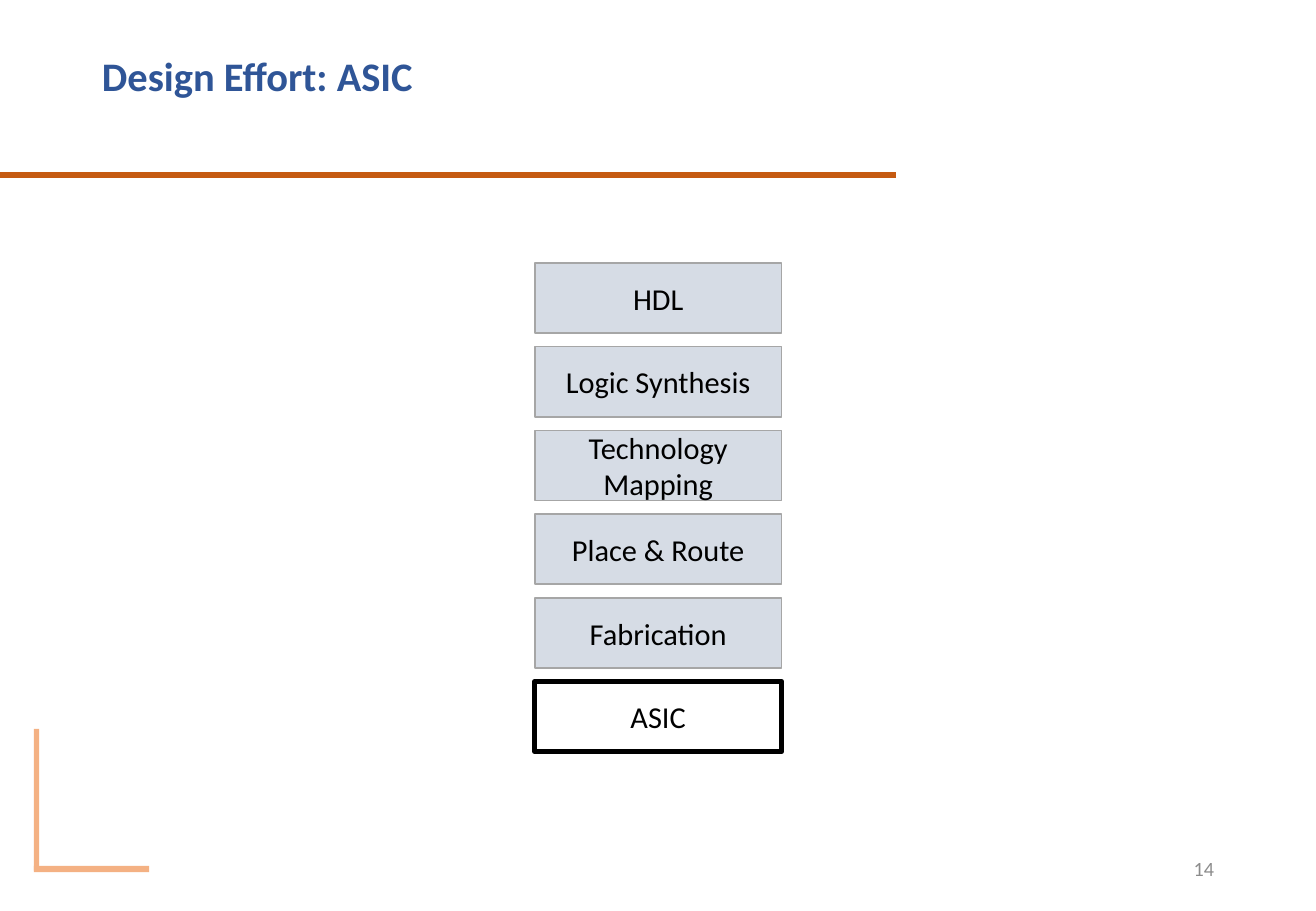
from lxml.etree import SubElement
from pptx import Presentation
from pptx.dml.color import RGBColor
from pptx.enum.shapes import MSO_CONNECTOR, MSO_SHAPE
from pptx.enum.text import MSO_ANCHOR, PP_ALIGN
from pptx.oxml.ns import qn
from pptx.util import Cm, Pt

# Content
TITLE = "Design Effort: ASIC"
PAGE_NUMBER = "14"
FLOW = ["HDL", "Logic Synthesis", "Technology Mapping", "Place & Route",
        "Fabrication", "ASIC"]

# Theme: colours and type sizes
THEME = {
    "font": "Calibri",
    "title": {"size": 24, "bold": True, "color": "2F5597"},
    "stage": {"size": 18, "bold": False, "color": "000000"},
    "number": {"size": 12, "bold": False, "color": "8C8C8C"},
    "step": {"fill": "D6DCE5", "line": "A6A6A6", "width": 1},
    "result": {"fill": None, "line": "000000", "width": 3},
    "bracket": {"fill": "F4B183", "line": None},
    "rule": {"line": "C55A11", "width": 3},
}

# Layout in cm: left, top, width, height
TITLE_BOX = (1.88, 0.86, 18.75, 1.57)
NUMBER_BOX = (19.43, 17.65, 6.2, 1.02)
BRACKET_ARMS = [(0.71, 18.11, 2.41, 0.13), (0.71, 15.24, 0.11, 2.97)]
RULE_END, RULE_TOP = 18.72, 3.66
STAGE_LEFT, STAGE_TOP, STAGE_WIDTH, STAGE_HEIGHT = 11.18, 5.5, 5.16, 1.47
STAGE_PITCH = 1.75


def write(shape, text, style, align, spacing=1.0):
    frame = shape.text_frame
    paragraph = frame.paragraphs[0]
    run = paragraph.add_run()
    run.text = text
    formats = {
        frame: {"word_wrap": True, "vertical_anchor": MSO_ANCHOR.MIDDLE},
        paragraph: {"alignment": align, "line_spacing": spacing},
        run.font: {"name": THEME["font"], "size": Pt(style["size"]),
                   "bold": style["bold"]},
    }
    for target, values in formats.items():
        for attribute, value in values.items():
            setattr(target, attribute, value)
    run.font.color.rgb = RGBColor.from_string(style["color"])


def draw_line(line, look):
    if look["line"]:
        line.color.rgb = RGBColor.from_string(look["line"])
        line.width = Pt(look["width"])
    else:
        line.fill.background()


def add_box(slide, box, look):
    shape = slide.shapes.add_shape(MSO_SHAPE.RECTANGLE, *map(Cm, box))
    shape.shadow.inherit = False
    if look["fill"]:
        shape.fill.solid()
        shape.fill.fore_color.rgb = RGBColor.from_string(look["fill"])
    else:
        shape.fill.background()
    draw_line(shape.line, look)
    return shape


def main():
    deck = Presentation()
    deck.slide_width, deck.slide_height = Cm(27.51), Cm(19.05)
    slide = deck.slides.add_slide(deck.slide_layouts[6])

    # Corner bracket and title rule
    for arm in BRACKET_ARMS:
        add_box(slide, arm, THEME["bracket"])
    rule = slide.shapes.add_connector(
        MSO_CONNECTOR.STRAIGHT, Cm(0), Cm(RULE_TOP), Cm(RULE_END), Cm(RULE_TOP))
    SubElement(rule._element.spPr, qn("a:effectLst"))
    draw_line(rule.line, THEME["rule"])

    # Title and page number
    title = slide.shapes.add_textbox(*map(Cm, TITLE_BOX))
    write(title, TITLE, THEME["title"], PP_ALIGN.LEFT, 0.9)
    number = slide.shapes.add_textbox(*map(Cm, NUMBER_BOX))
    write(number, PAGE_NUMBER, THEME["number"], PP_ALIGN.RIGHT)

    # Design flow, ending in the finished chip
    for index, stage in enumerate(FLOW):
        look = THEME["result" if stage == FLOW[-1] else "step"]
        top = STAGE_TOP + index * STAGE_PITCH
        box = add_box(slide, (STAGE_LEFT, top, STAGE_WIDTH, STAGE_HEIGHT), look)
        write(box, stage, THEME["stage"], PP_ALIGN.CENTER)

    deck.save("out.pptx")


if __name__ == "__main__":
    main()
